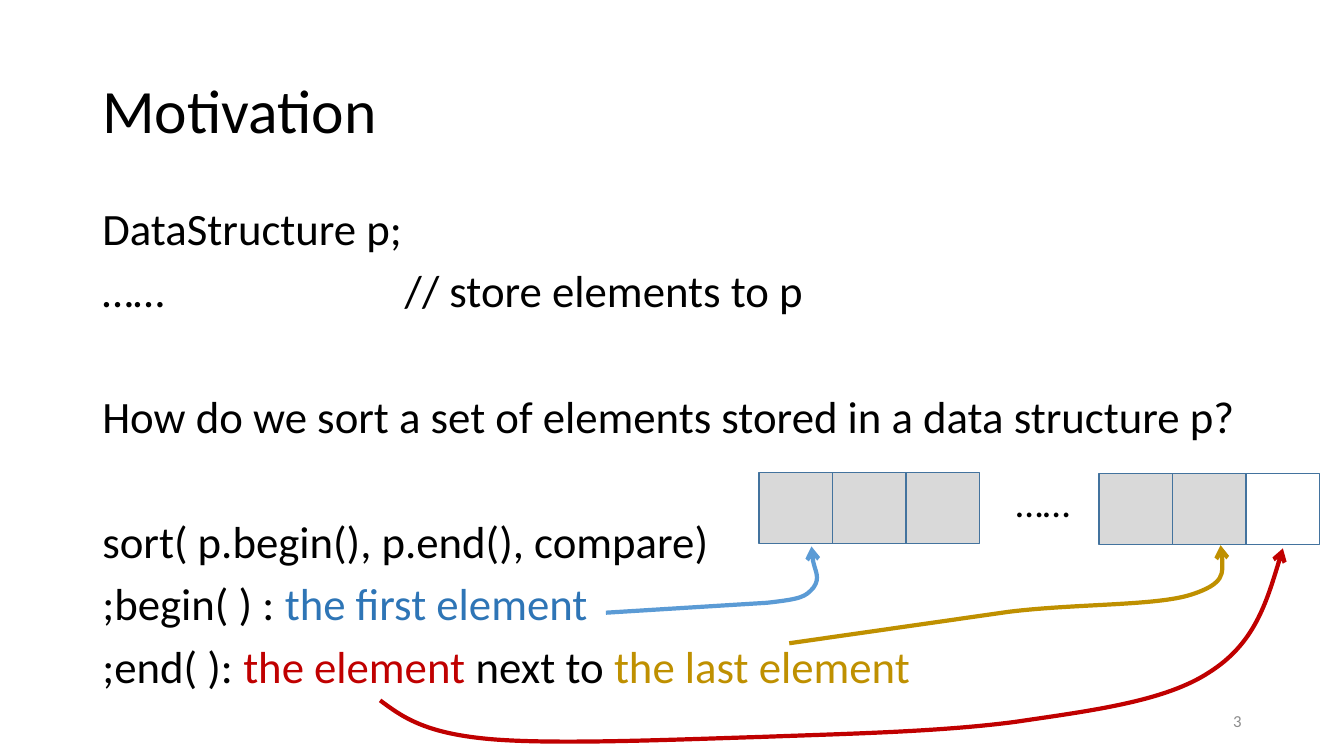
from lxml import etree
from pptx import Presentation
from pptx import util as u
from pptx.dml.color import RGBColor
from pptx.enum import shapes, text
from pptx.oxml.ns import qn

BLACK, BLUE, RED, GOLD = "000000", "2E75B6", "C00000", "BF9000"
GREY, WHITE, EDGE = "D9D9D9", "FFFFFF", "43739E"

BODY = [
    (0, [("DataStructure p;", BLACK)]),
    (10, [("……\t// store elements to p", BLACK)]),
    (55, [("How do we sort a set of elements stored in a data structure p?", BLACK)]),
    (55, [("sort( p.begin(), p.end(), compare)", BLACK)]),
    (10, [(";begin( ) : ", BLACK), ("the first element", BLUE)]),
    (10, [(";end( ): ", BLACK), ("the element", RED), (" next to ", BLACK),
          ("the last element", GOLD)]),
]

ARROWS = [
    (9.58, 17.65, RED, [
        (0.55, 0.41), (1.11, 0.82), (2.71, 0.97), (4.31, 1.12), (7.36, 0.99), (9.6, 0.92),
        (11.81, 0.84), (14.14, 0.79), (16.02, 0.54), (17.9, 0.26), (19.78, 0.03),
        (20.9, -0.71), (22.02, -1.42), (22.4, -2.64), (22.75, -3.83)]),
    (19.89, 16.21, GOLD, [
        (5.51, -0.79), (7.19, -1), (9.22, -0.94), (10.11, -1.22),
        (11, -1.5), (10.95, -1.99), (10.87, -2.47)]),
    (15.27, 15.44, "5B9BD5", [
        (4.06, -0.25), (4.95, -0.35), (5.02, -0.4), (5.23, -0.63),
        (5.41, -0.89), (5.18, -1.19), (5.18, -1.67)]),
]


def rgb(value):
    return RGBColor.from_string(value)


def apply(obj, formats):
    for name, value in formats.items():
        setattr(obj, name, value)


def add_text(s, box, paragraphs, size, frame=None, para=None):
    tf = s.shapes.add_textbox(*map(u.Cm, box)).text_frame
    apply(tf, {"word_wrap": True, **(frame or {})})
    for i, (before, runs) in enumerate(paragraphs):
        p = tf.paragraphs[0] if i == 0 else tf.add_paragraph()
        apply(p, {"space_before": u.Pt(before), **(para or {})})
        for content, color in runs:
            r = p.add_run()
            r.text = content
            apply(r.font, {"name": "Calibri", "size": u.Pt(size)})
            r.font.color.rgb = rgb(color)
    return tf


def add_title(s, box):
    add_text(s, box, [(0, [("Motivation", BLACK)])], 44,
             {"vertical_anchor": text.MSO_ANCHOR.MIDDLE}, {"line_spacing": 0.9})


def add_body(s, box):
    tf = add_text(s, box, BODY, 32, para={"line_spacing": 0.9})
    pPr = tf.paragraphs[1]._p.get_or_add_pPr()
    tabs = etree.SubElement(pPr, qn("a:tabLst"))
    etree.SubElement(tabs, qn("a:tab"), pos=str(u.Cm(7.62)), algn="l")


def add_number(s, box):
    add_text(s, box, [(0, [("3", "8C8C8C")])], 12,
             {"vertical_anchor": text.MSO_ANCHOR.MIDDLE},
             {"alignment": text.PP_ALIGN.RIGHT})


def add_cells(s, box, fills):
    left, top, width, height = box
    step = width / len(fills)
    for i, fill in enumerate(fills):
        sp = s.shapes.add_shape(shapes.MSO_SHAPE.RECTANGLE,
                                *map(u.Cm, (left + i * step, top, step, height)))
        sp.shadow.inherit = False
        sp.fill.solid()
        sp.fill.fore_color.rgb = rgb(fill)
        sp.line.color.rgb = rgb(EDGE)
        sp.line.width = u.Pt(1)


def add_array(s, box):
    left, top, width, height = box
    group = 5.55
    add_cells(s, (left, top, group, height), [GREY] * 3)
    add_cells(s, (left + width - group, top + 0.03, group, height), [GREY, GREY, WHITE])
    add_text(s, (left + 6.22, top + 0.03, 1.9, 1.45), [(0, [("……", BLACK)])], 28,
             {"word_wrap": False, "auto_size": text.MSO_AUTO_SIZE.SHAPE_TO_FIT_TEXT})


def add_arrow(s, left, top, color, offsets):
    fb = s.shapes.build_freeform(u.Cm(left), u.Cm(top))
    fb.add_line_segments([(u.Cm(left + x), u.Cm(top + y)) for x, y in offsets], close=False)
    sp = fb.convert_to_shape()
    sp.shadow.inherit = False
    sp.fill.background()
    sp.line.color.rgb = rgb(color)
    sp.line.width = u.Pt(3)
    etree.SubElement(sp.line._get_or_add_ln(), qn("a:tailEnd"), type="arrow")
    segments = list(sp._element.iter(qn("a:lnTo")))
    for i in range(len(segments) % 3, len(segments), 3):
        curve = etree.Element(qn("a:cubicBezTo"))
        segments[i].addprevious(curve)
        for segment in segments[i:i + 3]:
            curve.append(segment[0])
            segment.getparent().remove(segment)


def main():
    prs = Presentation()
    apply(prs, {"slide_width": u.Cm(33.87), "slide_height": u.Cm(19.05)})
    s = prs.slides.add_slide(prs.slide_layouts[6])
    add_title(s, (2.33, 1.01, 29.21, 3.68))
    add_body(s, (2.33, 5.08, 29.21, 13.18))
    add_number(s, (23.92, 17.66, 7.62, 1.01))
    add_array(s, (19.13, 11.91, 14.12, 1.78))
    for arrow in ARROWS:
        add_arrow(s, *arrow)
    prs.save("out.pptx")


if __name__ == "__main__":
    main()
